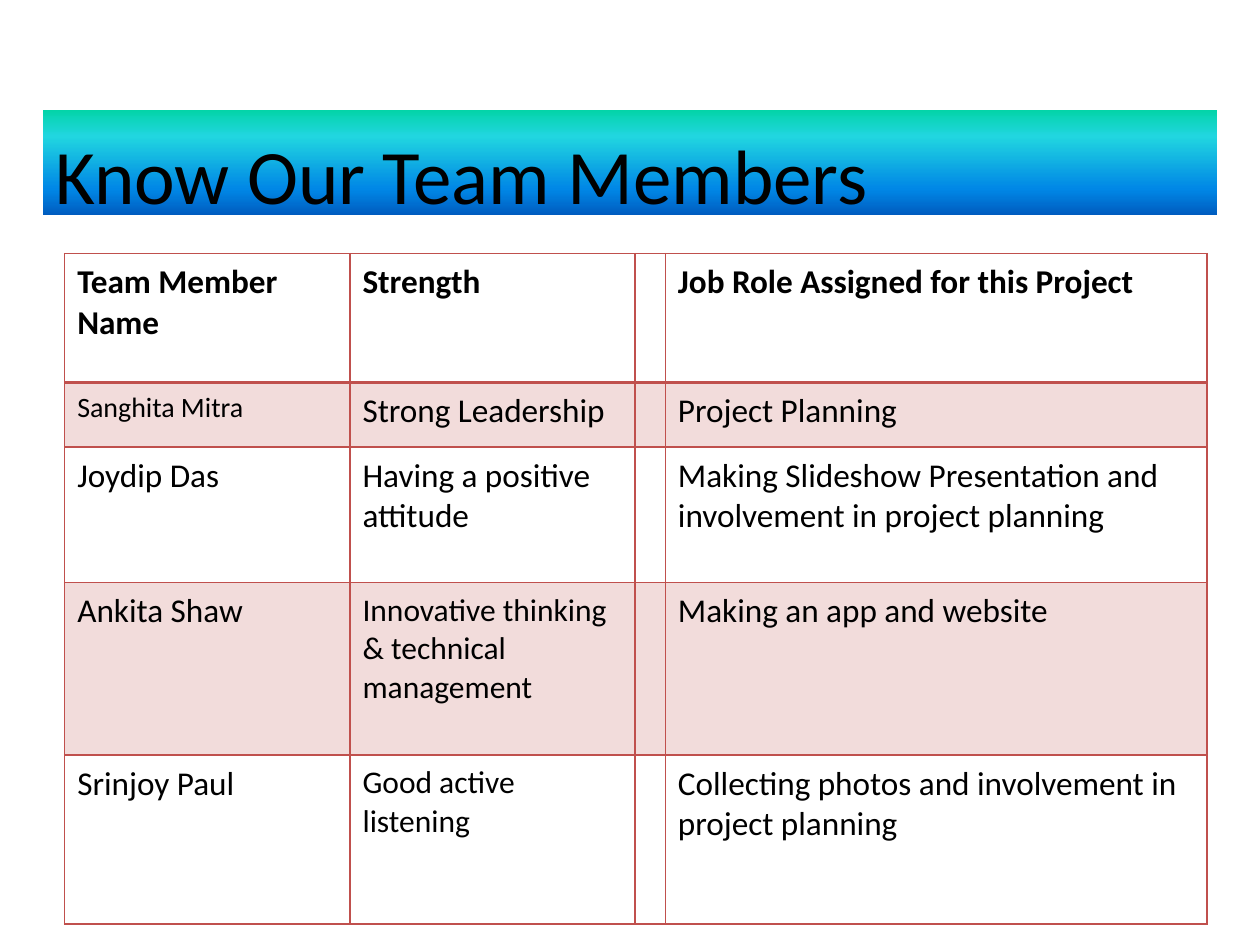
from lxml import etree
from pptx import Presentation
from pptx.dml.color import RGBColor
from pptx.enum import shapes, text
from pptx.oxml.ns import qn
from pptx.util import Pt

# Content
HEADING = "Know Our Team Members"
HEADER = ["Team Member Name", "Strength", "", "Job Role Assigned for this Project"]
MEMBERS = [
    ["Sanghita Mitra", "Strong Leadership", "", "Project Planning"],
    ["Joydip Das", "Having a positive attitude", "",
     "Making Slideshow Presentation and involvement in project planning"],
    ["Ankita Shaw", "Innovative thinking & technical management", "",
     "Making an app and website"],
    ["Srinjoy Paul", "Good active listening", "",
     "Collecting photos and involvement in project planning"],
]
COLUMN_WIDTHS = [163, 163, 17, 309.5]
ROW_HEIGHTS = [73.5, 37, 77.5, 98.5, 96.5]

THEME = {
    "font": "Calibri",
    "ink": "000000",
    "accent": "C0504D",
    "band_alpha": 20,
    "banner": [(0, "03D4A8"), (25, "21D6E0"), (75, "0087E6"), (100, "005CBF")],
    "heading_size": 44,
    "body_size": 19,
    "special_sizes": {(1, 0): 16, (3, 1): 18, (4, 1): 18},
}


def add_run(paragraph, words, size, bold=False):
    run = paragraph.add_run()
    run.text = words
    run.font.name = THEME["font"]
    run.font.size = Pt(size)
    run.font.bold = bold
    run.font.color.rgb = RGBColor.from_string(THEME["ink"])


def add_color(parent, color, alpha=None):
    node = etree.SubElement(parent, qn("a:srgbClr"), val=color)
    if alpha is not None:
        etree.SubElement(node, qn("a:alpha"), val=str(alpha * 1000))


def fill_banner(banner):
    banner.fill.gradient()
    banner.fill.gradient_angle = 270  # top to bottom
    stops = banner._element.spPr.find(qn("a:gradFill")).find(qn("a:gsLst"))
    for old_stop in list(stops):
        stops.remove(old_stop)
    for position, color in THEME["banner"]:
        add_color(etree.SubElement(stops, qn("a:gs"), pos=str(position * 1000)), color)


def style_cell(cell, row):
    cell.margin_left = cell.margin_right = Pt(7.2)
    cell.margin_top = cell.margin_bottom = Pt(5)
    properties = cell._tc.get_or_add_tcPr()
    for side in "LRTB":
        heavy = (row, side) in ((0, "B"), (1, "T"))
        border = etree.SubElement(properties, qn(f"a:ln{side}"),
                                  w=str(Pt(2 if heavy else 1)))
        add_color(etree.SubElement(border, qn("a:solidFill")), THEME["accent"])
    if row % 2:
        add_color(etree.SubElement(properties, qn("a:solidFill")),
                  THEME["accent"], THEME["band_alpha"])
    else:
        cell.fill.background()


def add_heading(slide):
    banner = slide.shapes.add_shape(shapes.MSO_SHAPE.RECTANGLE,
                                    Pt(24.5), Pt(62.8), Pt(671), Pt(60.3))
    banner.shadow.inherit = False
    banner.line.fill.background()
    fill_banner(banner)
    frame = banner.text_frame
    frame.word_wrap = True
    frame.vertical_anchor = text.MSO_ANCHOR.TOP
    frame.margin_left = frame.margin_right = Pt(7.2)
    frame.margin_top, frame.margin_bottom = Pt(10), Pt(0)
    frame.paragraphs[0].alignment = text.PP_ALIGN.LEFT
    add_run(frame.paragraphs[0], HEADING, THEME["heading_size"])


def add_team(slide):
    rows = [HEADER] + MEMBERS
    team = slide.shapes.add_table(len(rows), len(HEADER), Pt(37), Pt(145),
                                  Pt(sum(COLUMN_WIDTHS)), Pt(sum(ROW_HEIGHTS))).table
    team.horz_banding = False
    for column, width in zip(team.columns, COLUMN_WIDTHS):
        column.width = Pt(width)
    for r, (entries, height) in enumerate(zip(rows, ROW_HEIGHTS)):
        team.rows[r].height = Pt(height)
        for c, words in enumerate(entries):
            cell = team.cell(r, c)
            style_cell(cell, r)
            if words:
                size = THEME["special_sizes"].get((r, c), THEME["body_size"])
                add_run(cell.text_frame.paragraphs[0], words, size, bold=r == 0)
            else:
                # Keeps the narrow empty cell from stretching its row
                cell.text_frame.paragraphs[0].font.size = Pt(THEME["body_size"])


def main():
    deck = Presentation()
    deck.slide_width, deck.slide_height = Pt(720), Pt(540)
    slide = deck.slides.add_slide(deck.slide_layouts[6])
    add_heading(slide)
    add_team(slide)
    deck.save("out.pptx")


if __name__ == "__main__":
    main()
